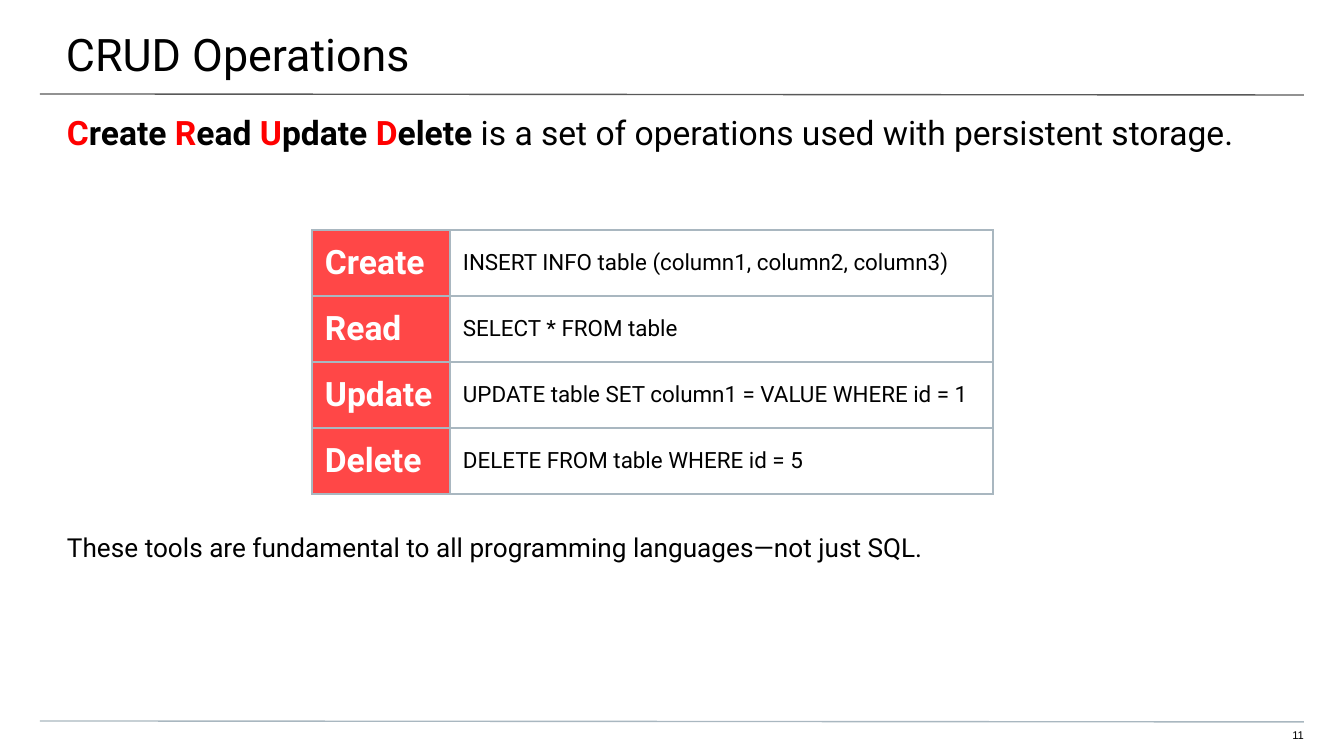
import pptx
import pptx.dml.color
import pptx.enum.shapes
import pptx.enum.text
import pptx.oxml.ns
import pptx.util
from lxml import etree

COLORS = {
    "text": "000000",
    "accent": "FF0000",
    "white": "FFFFFF",
    "title_rule": "595959",
    "border": "A9B7C0",
}
OPERATIONS = [
    ("Create", "INSERT INFO table (column1, column2, column3)"),
    ("Read", "SELECT * FROM table"),
    ("Update", "UPDATE table SET column1 = VALUE WHERE id = 1"),
    ("Delete", "DELETE FROM table WHERE id = 5"),
]
ANCHOR = pptx.enum.text.MSO_ANCHOR
ALIGN = pptx.enum.text.PP_ALIGN


def px(length):
    return pptx.util.Emu(round(length * 914400 / 134.4))


def rgb(name):
    return pptx.dml.color.RGBColor.from_string(COLORS[name])


def add_xml(parent, tag, **attributes):
    return etree.SubElement(parent, pptx.oxml.ns.qn(tag), attributes)


class SlideBuilder:
    font = "Roboto"
    line_width = pptx.util.Pt(0.75)

    def __init__(self, page):
        self.page = page

    def style(self, font, size, color="text", bold=False, name=None):
        font.name = name or self.font
        font.size = pptx.util.Pt(size)
        font.bold = bold
        font.color.rgb = rgb(color)

    def frame(self, shape, bounds, insets):
        shape.left, shape.top, shape.width, shape.height = map(px, bounds)
        frame = shape.text_frame
        frame.word_wrap = True
        frame.auto_size = pptx.enum.text.MSO_AUTO_SIZE.NONE
        frame.vertical_anchor = ANCHOR.TOP
        (frame.margin_left, frame.margin_top,
         frame.margin_right, frame.margin_bottom) = map(px, insets)
        return frame.paragraphs[0]

    def title(self, text, bounds, insets, size):
        para = self.frame(self.page.shapes.title, bounds, insets)
        para.text = text
        para.alignment = ALIGN.LEFT
        self.style(para.font, size)

    def text(self, text, bounds, insets, size, align=ALIGN.LEFT, name=None):
        box = self.page.shapes.add_textbox(0, 0, 0, 0)
        para = self.frame(box, bounds, insets)
        para.text = text
        para.alignment = align
        self.style(para.font, size, name=name)
        return para

    def acronym(self, words, ending, bounds, insets, size):
        para = self.text("", bounds, insets, size)
        pieces = []
        for word in words:
            pieces += [(word[0], "accent", True), (word[1:] + " ", "text", True)]
        pieces[-1] = (words[-1][1:], "text", True)
        pieces.append((ending, "text", False))
        for text, color, bold in pieces:
            span = para.add_run()
            span.text = text
            self.style(span.font, size, color, bold)

    def rule(self, left, top, right, bottom, color):
        line = self.page.shapes.add_connector(
            pptx.enum.shapes.MSO_CONNECTOR.STRAIGHT,
            px(left), px(top), px(right), px(bottom))
        line.line.color.rgb = rgb(color)
        line.line.width = self.line_width
        add_xml(line.element.spPr, "a:effectLst")

    def cell(self, cell, text, size, color, bold, anchor):
        cell.margin_left = cell.margin_right = px(13)
        cell.margin_top = cell.margin_bottom = px(13)
        cell.vertical_anchor = anchor
        para = cell.text_frame.paragraphs[0]
        para.text = text
        self.style(para.font, size, color, bold)
        properties = cell._tc.get_or_add_tcPr()
        for side in ("a:lnL", "a:lnR", "a:lnT", "a:lnB"):
            line = add_xml(properties, side, w=str(self.line_width))
            fill = add_xml(line, "a:solidFill")
            add_xml(fill, "a:srgbClr", val=COLORS["border"])

    def table(self, rows, left, top, widths, row_height):
        table = self.page.shapes.add_table(
            len(rows), len(widths), px(left), px(top),
            px(sum(widths)), px(row_height * len(rows))).table
        table.first_row = False
        table.horz_banding = False
        for column, width in zip(table.columns, widths):
            column.width = px(width)
        for index, (name, statement) in enumerate(rows):
            table.rows[index].height = px(row_height)
            label, code = table.cell(index, 0), table.cell(index, 1)
            self.cell(label, name, 18, "white", True, ANCHOR.TOP)
            label.fill.solid()
            label.fill.fore_color.rgb = rgb("accent")
            tint = label._tc.tcPr.find(".//" + pptx.oxml.ns.qn("a:srgbClr")
                                       + "[@val='" + COLORS["accent"] + "']")
            add_xml(tint, "a:alpha", val="72000")
            self.cell(code, statement, 12, "text", False, ANCHOR.MIDDLE)
            code.fill.background()


def main():
    deck = pptx.Presentation()
    deck.slide_width, deck.slide_height = px(1344), px(756)
    slide = SlideBuilder(deck.slides.add_slide(deck.slide_layouts[5]))
    slide.rule(40, 721, 1304, 722, "border")
    slide.rule(40, 94, 1304, 95, "title_rule")
    slide.title("CRUD Operations", (-1, 0, 985, 78), (67, 27, 40, 13), 24)
    slide.acronym([name for name, statement in OPERATIONS],
                  " is a set of operations used with persistent storage.",
                  (0, 99, 1304, 78), (67, 13, 67, 0), 18)
    slide.table(OPERATIONS, 312, 230, (138, 543), 66)
    closing = slide.text(
        "These tools are fundamental to all programming languages—not just SQL.",
        (0, 571, 993, 54), (67, 0, 67, 134), 14)
    closing.space_after = pptx.util.Pt(8)
    slide.text("11", (1265, 728, 39, 16), (0, 0, 0, 13), 6, ALIGN.RIGHT, "Arial")
    deck.save("out.pptx")


if __name__ == "__main__":
    main()
